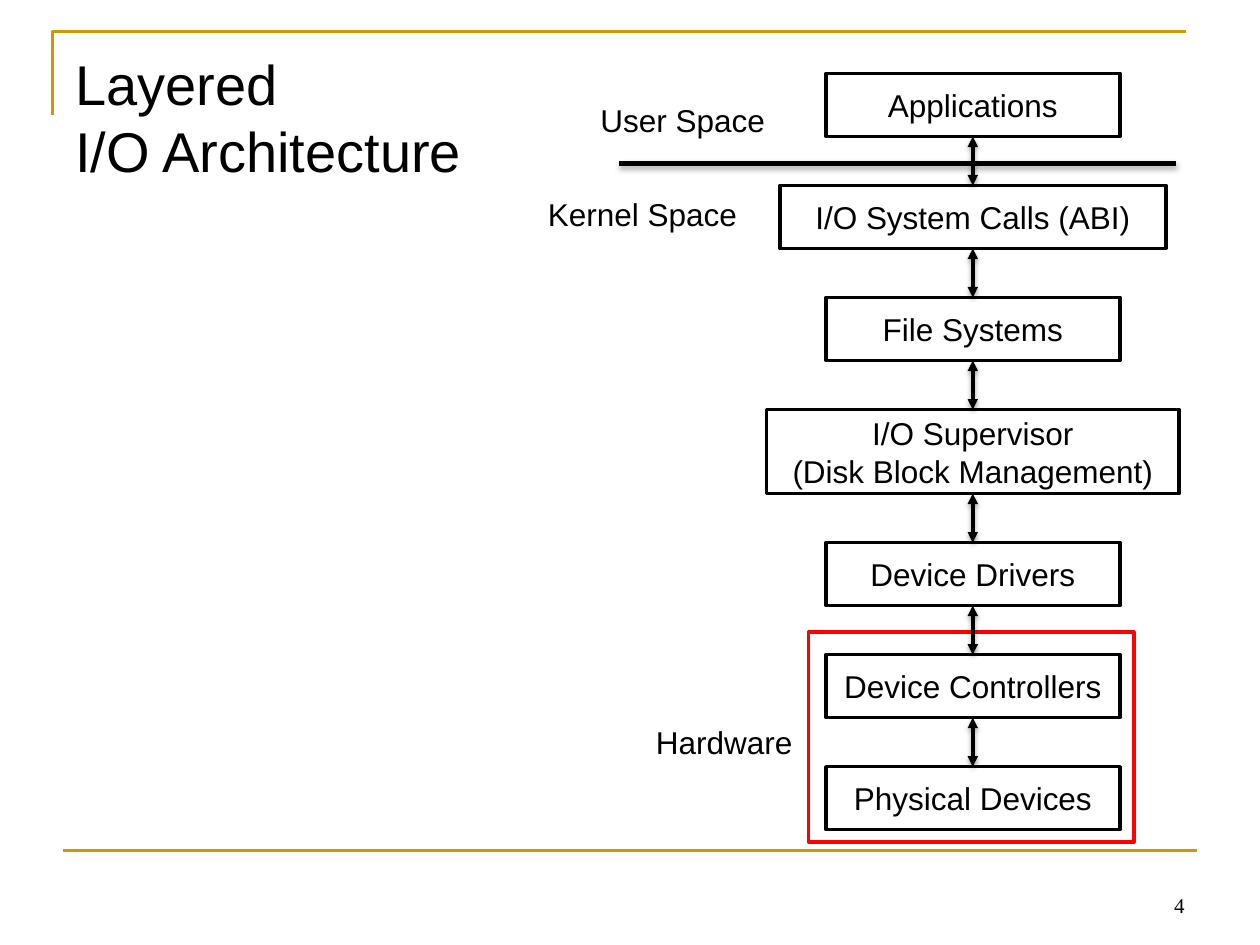
from dataclasses import dataclass
from itertools import pairwise

from lxml.etree import SubElement
from pptx import Presentation
from pptx.dml.color import RGBColor
from pptx.enum.shapes import MSO_CONNECTOR as Connector, MSO_SHAPE as Shape
from pptx.enum.text import MSO_ANCHOR as Anchor, PP_ALIGN as Align
from pptx.oxml.ns import qn
from pptx.util import Inches, Pt

COLORS = {"black": "000000", "white": "FFFFFF", "gold": "CC9900", "red": "FF0000"}
# The slide is a grid of 120 columns by 90 rows
COLUMNS, ROWS = 120, 90
CELL = Inches(10) // COLUMNS

# The stack of layers is centred on one column, with equal gaps
STACK_CENTER, STACK_TOP, STACK_GAP = 92.65, 7, 4.67


@dataclass
class Area:
    left: float
    top: float
    width: float
    height: float

    def lengths(self) -> list[int]:
        return [grid(v) for v in (self.left, self.top, self.width, self.height)]


@dataclass
class Layer:
    lines: tuple[str, ...]
    width: float = 28
    height: float = 6


@dataclass
class Label:
    text: str
    area: Area


LAYERS = [
    Layer(("Applications",)),
    Layer(("I/O System Calls (ABI)",), width=36.75),
    Layer(("File Systems",)),
    Layer(("I/O Supervisor", "(Disk Block Management)"), width=39.33, height=8),
    Layer(("Device Drivers",)),
    Layer(("Device Controllers",)),
    Layer(("Physical Devices",)),
]
LABELS = [
    Label("User Space", Area(56, 9, 18.25, 4.8)),
    Label("Kernel Space", Area(51, 18, 20.65, 4.8)),
    Label("Hardware", Area(61.3, 68.3, 15.6, 4.8)),
]


def grid(cells: float) -> int:
    return round(cells * CELL)


def color(name: str) -> RGBColor:
    return RGBColor.from_string(COLORS[name])


def write(shape, lines, size=18, font="Arial", align=Align.LEFT, **frame_format) -> None:
    frame = shape.text_frame
    for name, value in ({"word_wrap": True} | frame_format).items():
        setattr(frame, name, value)
    for index, line in enumerate(lines):
        paragraph = frame.add_paragraph() if index else frame.paragraphs[0]
        paragraph.text = line
        paragraph.alignment = align
        for name, value in {"size": Pt(size), "name": font}.items():
            setattr(paragraph.font, name, value)
        paragraph.font.color.rgb = color("black")


def set_line(shape, line_color: str, width: float) -> None:
    shape.line.color.rgb = color(line_color)
    shape.line.width = Pt(width)


def add_box(slide, area: Area, line_color: str = "black"):
    box = slide.shapes.add_shape(Shape.RECTANGLE, *area.lengths())
    box.shadow.inherit = False
    box.fill.solid()
    box.fill.fore_color.rgb = color("white")
    set_line(box, line_color, 2)
    return box


def add_text(slide, area: Area, lines, **text_format) -> None:
    write(slide.shapes.add_textbox(*area.lengths()), lines, **text_format)


def add_line(slide, start, end, line_color="black", width=2.0, arrows=False, shadow=0) -> None:
    """Draw a line; shadow is its opacity in percent."""
    line = slide.shapes.add_connector(Connector.STRAIGHT, *map(grid, (*start, *end)))
    set_line(line, line_color, width)
    if arrows:
        outline = line.line._get_or_add_ln()
        for tag in ("a:headEnd", "a:tailEnd"):
            SubElement(outline, qn(tag), type="triangle")
    effects = SubElement(line._element.spPr, qn("a:effectLst"))
    if shadow:
        outer = SubElement(effects, qn("a:outerShdw"), blurRad=str(Pt(3.1)),
                           dist=str(Pt(1.7)), dir="5400000", rotWithShape="0")
        shade = SubElement(outer, qn("a:srgbClr"), val=COLORS["black"])
        SubElement(shade, qn("a:alpha"), val=str(shadow * 1000))


def add_frame(slide) -> None:
    """Draw the gold corner and the footer rule."""
    builder = slide.shapes.build_freeform(grid(5), grid(11))
    builder.add_line_segments([(grid(5), grid(3)), (grid(113), grid(3))], close=False)
    corner = builder.convert_to_shape()
    corner.shadow.inherit = False
    corner.fill.background()
    set_line(corner, "gold", 1.5)
    add_line(slide, (6, 81), (114, 81), "gold", 1.5)


def add_stack(slide) -> list[Area]:
    """Draw the layers from top to bottom and return where they are."""
    areas, top = [], STACK_TOP
    for layer in LAYERS:
        area = Area(STACK_CENTER - layer.width / 2, top, layer.width, layer.height)
        write(add_box(slide, area), layer.lines, align=Align.CENTER,
              vertical_anchor=Anchor.MIDDLE)
        areas.append(area)
        top += layer.height + STACK_GAP
    return areas


def main() -> None:
    presentation = Presentation()
    presentation.slide_width = CELL * COLUMNS
    presentation.slide_height = CELL * ROWS
    slide = presentation.slides.add_slide(presentation.slide_layouts[6])

    # Frame, title and slide number
    add_frame(slide)
    add_text(slide, Area(6, 3.6, 66, 15), ["Layered\vI/O Architecture"], size=32,
             vertical_anchor=Anchor.MIDDLE)
    add_text(slide, Area(86, 82, 28, 6), ["4"], size=12, font="Times New Roman",
             align=Align.RIGHT, vertical_anchor=Anchor.BOTTOM)

    # Hardware outline behind the stack of layers
    add_box(slide, Area(77, 60.2, 31, 20), "red")
    areas = add_stack(slide)

    # Border between user and kernel space, and arrows between layers
    add_line(slide, (112, 15.6), (59, 15.6), width=3, shadow=35)
    for upper, lower in pairwise(areas):
        add_line(slide, (STACK_CENTER, upper.top + upper.height),
                 (STACK_CENTER, lower.top), arrows=True, shadow=38)

    # Labels beside the stack
    for label in LABELS:
        add_text(slide, label.area, [label.text], word_wrap=False)

    presentation.save("out.pptx")


if __name__ == "__main__":
    main()
